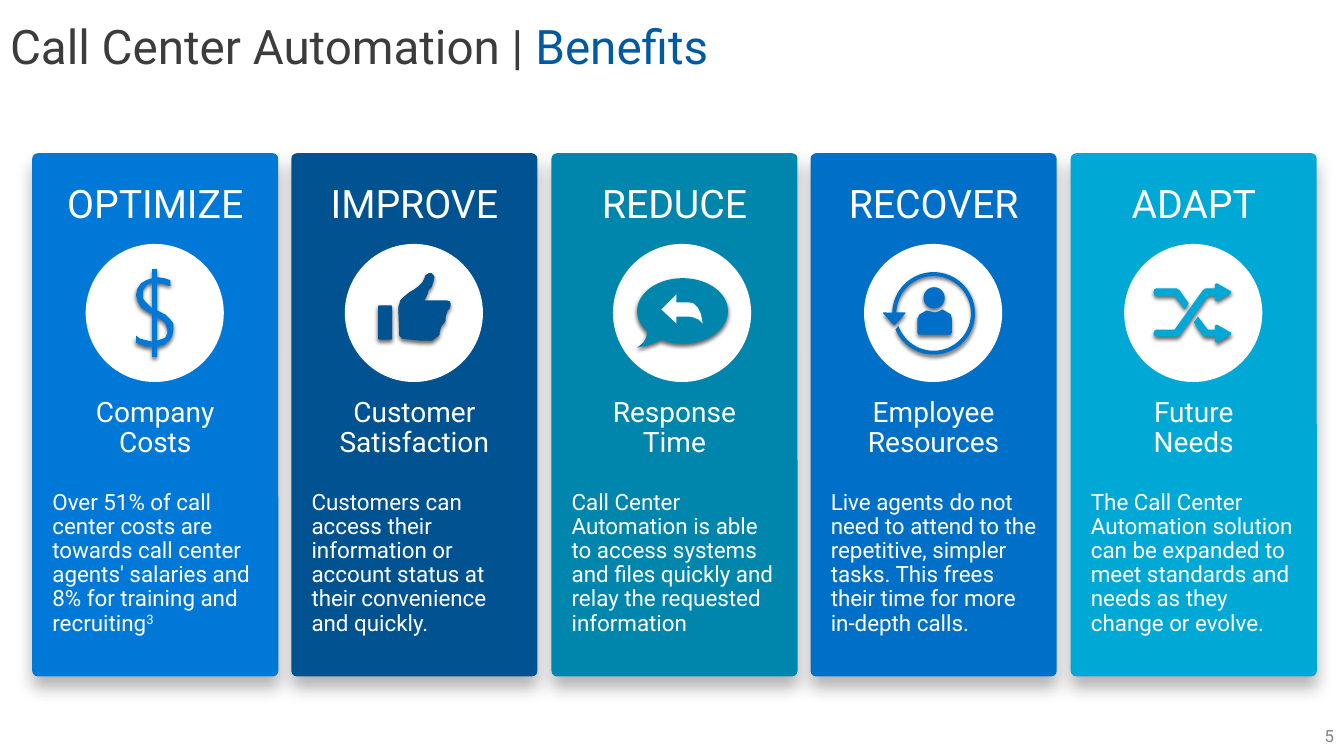
from dataclasses import dataclass
from math import cos, radians, sin

from lxml import etree
from pptx import Presentation
from pptx.dml.color import RGBColor
from pptx.enum.shapes import MSO_SHAPE
from pptx.enum.text import MSO_ANCHOR, MSO_AUTO_SIZE, PP_ALIGN
from pptx.oxml.ns import qn
from pptx.util import Pt

LEFT, CENTER, RIGHT = PP_ALIGN.LEFT, PP_ALIGN.CENTER, PP_ALIGN.RIGHT
TOP, MIDDLE = MSO_ANCHOR.TOP, MSO_ANCHOR.MIDDLE
FIXED, GROW = MSO_AUTO_SIZE.NONE, MSO_AUTO_SIZE.SHAPE_TO_FIT_TEXT
ROUNDED, ELLIPSE = MSO_SHAPE.ROUNDED_RECTANGLE, MSO_SHAPE.OVAL

EMU_PER_PX = 9144
SLIDE_WIDTH, SLIDE_HEIGHT = 1333, 750
CARD_LEFT, CARD_TOP, CARD_WIDTH, CARD_HEIGHT = 32, 152, 244, 519
TWO_CARD_STEPS = 515
CIRCLE_TOP, CIRCLE_SIZE = 242, 137
FONT, WHITE = "Roboto", "FFFFFF"

Points = list[tuple[float, float]]


@dataclass(frozen=True)
class Shadow:
    opacity: int
    blur: int
    distance: int


@dataclass(frozen=True)
class Outline:
    contours: tuple[Points, ...]
    cutout: bool = False


@dataclass(frozen=True)
class Card:
    color: str
    heading: str
    topic: str
    body: str
    icon: tuple[Outline, ...]
    footnote: str = ""
    topic_inset: int = 20
    circle_offset: int = 53


def px(value: float) -> int:
    return round(value * EMU_PER_PX)


def rgb(color: str) -> RGBColor:
    return RGBColor.from_string(color)


def arc(x: float, y: float, radius_x: float, radius_y: float, start: int, end: int) -> Points:
    step = 4 if end > start else -4
    angles = [radians(angle) for angle in [*range(start, end, step), end]]
    return [(x + radius_x * cos(angle), y + radius_y * sin(angle)) for angle in angles]


CARD_SHADOW, ICON_SHADOW = Shadow(30, 12, 8), Shadow(60, 3, 2)

DOLLAR = Outline((
    [(156, 354), (151, 354), (151, 344), (145, 344), (135, 340), (135, 333), (139, 336), (143, 337),
     (147, 338), (151, 339), (151, 312), (146, 309), (140, 305), (137, 300), (135, 293), (136, 287),
     (140, 281), (145, 278), (151, 276), (151, 267), (156, 267), (156, 275), (163, 276), (169, 278),
     (169, 284), (163, 282), (156, 281), (156, 308), (164, 312), (169, 317), (172, 321), (172, 327),
     (171, 333), (168, 338), (163, 342), (156, 344)],
    [(151, 281), (147, 282), (144, 285), (142, 288), (142, 292), (142, 296), (144, 299), (147, 302),
     (151, 306)],
    [(156, 338), (164, 335), (166, 331), (166, 327), (165, 324), (164, 321), (161, 318), (156, 315)],
))
THUMB = Outline((
    [(395, 305), (396, 302), (397, 298), (401, 294), (406, 290), (411, 287), (415, 284), (419, 280),
     (421, 276), (422, 273), (424, 272), (425, 271), (428, 271), (430, 273), (431, 275), (430, 279),
     (429, 282), (428, 285), (425, 288), (424, 292), (423, 294), (421, 298), (443, 298), (446, 299),
     (447, 301), (447, 303), (446, 306), (444, 308), (443, 311), (442, 314), (442, 318), (441, 320),
     (438, 323), (437, 326), (436, 330), (436, 332), (434, 334), (431, 336), (429, 338), (425, 338),
     (417, 338), (408, 337), (399, 336), (397, 334), (396, 333)],
))
CUFF = Outline(([(376, 337), (375, 336), (375, 304), (376, 303), (388, 303), (389, 304), (389, 336),
                 (388, 337)],))
BUBBLE = Outline((arc(677, 308.5, 45, 32.5, 141, 478)
                  + [(650, 340), (641, 343), (632, 345), (638, 340), (641, 335)],))
REPLY = Outline(([(683, 300), (671, 300), (671, 292), (656, 307), (671, 321), (671, 314), (684, 314),
                  (688, 315), (693, 317), (697, 321), (695, 311), (692, 305), (688, 301)],), cutout=True)
CYCLE = Outline(([(876, 311), (886, 322), (888, 322), (898, 311), (898, 310), (889, 310)]
                 + arc(926, 311, 37, 37, 180, 521) + [(890, 325), (888, 327)]
                 + arc(926, 311, 41, 41, 517, 181) + [(876, 310)],))
PERSON = Outline((
    arc(926.5, 295.5, 10.5, 10.5, 0, 360),
    [(943, 312), (935, 307), (931, 309), (927, 310), (923, 309), (919, 308), (912, 312), (910, 316),
     (910, 330), (911, 332), (943, 332), (944, 330), (944, 316)],
))
SHUFFLE = Outline((
    [(1205, 298), (1205, 294), (1198, 294), (1170, 333), (1167, 334), (1148, 334), (1145, 333),
     (1144, 331), (1145, 328), (1147, 327), (1165, 327), (1193, 288), (1196, 286), (1205, 286),
     (1205, 282), (1207, 281), (1221, 289), (1221, 291), (1207, 299)],
    [(1147, 294), (1165, 294), (1175, 307), (1179, 301), (1170, 288), (1167, 286), (1147, 286),
     (1145, 287), (1144, 290), (1145, 293)],
    [(1205, 327), (1198, 327), (1188, 314), (1184, 320), (1193, 333), (1196, 334), (1205, 334),
     (1205, 339), (1207, 340), (1221, 332), (1221, 330), (1207, 322), (1205, 323)],
))

CARDS = (
    Card("0078D7", "OPTIMIZE", "Company\nCosts",
         "Over 51% of call center costs are towards call center agents' salaries and 8% for training"
         " and recruiting", (DOLLAR,), footnote="3"),
    Card("005291", "IMPROVE", "Customer Satisfaction",
         "Customers can access their information or account status at their convenience and quickly.",
         (THUMB, CUFF), topic_inset=10),
    Card("0086AD", "REDUCE", "Response\nTime",
         "Call Center Automation is able to access systems and files quickly and relay the requested"
         " information", (BUBBLE, REPLY), circle_offset=61),
    Card("006FC8", "RECOVER", "Employee Resources",
         "Live agents do not need to attend to the repetitive, simpler tasks. This frees their time for"
         " more in-depth calls.", (CYCLE, PERSON), topic_inset=10),
    Card("00A8D6", "ADAPT", "Future\nNeeds",
         "The Call Center Automation solution can be expanded to meet standards and needs as they"
         " change or evolve.", (SHUFFLE,)),
)


def write(frame, text: str, *, size: int, color: str = WHITE, align=LEFT, spacing: float = 0.9,
          after: int = 6, superscript: bool = False) -> None:
    paragraph = frame.paragraphs[0]
    paragraph.alignment, paragraph.line_spacing = align, spacing
    paragraph.space_before, paragraph.space_after = Pt(0), Pt(after)
    for number, line in enumerate(text.split("\n")):
        if number:
            paragraph.add_line_break()
        run = paragraph.add_run()
        run.text = line
        run.font.name, run.font.size = FONT, Pt(size)
        run.font.color.rgb = rgb(color)
        if superscript:
            run.font._element.set("baseline", "30000")


def set_frame(frame, inset_x: int, inset_y: int, anchor, auto_size) -> None:
    frame.word_wrap, frame.auto_size, frame.vertical_anchor = True, auto_size, anchor
    frame.margin_left = frame.margin_right = px(inset_x)
    frame.margin_top = frame.margin_bottom = px(inset_y)


def add_text_box(shapes, left: int, top: int, width: int, height: int, *, inset_x: int = 20,
                 inset_y: int = 16, anchor=TOP, auto_size=GROW):
    frame = shapes.add_textbox(px(left), px(top), px(width), px(height)).text_frame
    set_frame(frame, inset_x, inset_y, anchor, auto_size)
    return frame


def paint(shape, color: str, shadow: Shadow | None = None) -> None:
    shape.fill.solid()
    shape.fill.fore_color.rgb = rgb(color)
    shape.line.fill.background()
    shape.shadow.inherit = False
    if shadow:
        effects = shape._element.spPr.find(qn("a:effectLst"))
        outer = etree.SubElement(effects, qn("a:outerShdw"), blurRad=str(Pt(shadow.blur)),
                                 dist=str(Pt(shadow.distance)), dir="5400000", algn="t",
                                 rotWithShape="0")
        black = etree.SubElement(outer, qn("a:srgbClr"), val="000000")
        etree.SubElement(black, qn("a:alpha"), val=str(shadow.opacity * 1000))


def add_outline(shapes, outline: Outline, color: str) -> None:
    contours = [[(px(x), px(y)) for x, y in contour] for contour in outline.contours]
    builder = shapes.build_freeform(*contours[0][0], scale=1.0)
    for number, contour in enumerate(contours):
        if number:
            builder.move_to(*contour[0])
        builder.add_line_segments(contour[1:], close=True)
    shape = builder.convert_to_shape()
    paint(shape, WHITE if outline.cutout else color, None if outline.cutout else ICON_SHADOW)


def add_card(slide, card: Card, left: int) -> None:
    shapes = slide.shapes.add_group_shape().shapes
    panel = shapes.add_shape(ROUNDED, px(left), px(CARD_TOP), px(CARD_WIDTH), px(CARD_HEIGHT))
    panel.adjustments[0] = 0.022
    paint(panel, card.color, CARD_SHADOW)
    write(add_text_box(shapes, left, 167, CARD_WIDTH, 75), card.heading, size=28, align=CENTER)
    topic = add_text_box(shapes, left, 379, CARD_WIDTH, 93, inset_x=card.topic_inset)
    write(topic, card.topic, size=20, align=CENTER)
    body = add_text_box(shapes, left, 471, CARD_WIDTH, 178)
    write(body, card.body, size=16)
    if card.footnote:
        write(body, card.footnote, size=16, superscript=True)
    circle = shapes.add_shape(ELLIPSE, px(left + card.circle_offset), px(CIRCLE_TOP),
                              px(CIRCLE_SIZE), px(CIRCLE_SIZE))
    paint(circle, WHITE)
    for outline in card.icon:
        add_outline(shapes, outline, card.color)


def main() -> None:
    presentation = Presentation()
    presentation.slide_width, presentation.slide_height = px(SLIDE_WIDTH), px(SLIDE_HEIGHT)
    slide = presentation.slides.add_slide(presentation.slide_layouts[5])
    title = slide.shapes.title
    title.left, title.top, title.width, title.height = px(0), px(0), px(SLIDE_WIDTH), px(97)
    set_frame(title.text_frame, 10, 5, MIDDLE, FIXED)
    write(title.text_frame, "Call Center Automation | ", size=34, color="3C3C3C", after=0)
    write(title.text_frame, "Benefits", size=34, color="005AA1", after=0)
    page = add_text_box(slide.shapes, 1033, 710, 300, 40, inset_x=10, inset_y=5, anchor=MIDDLE,
                        auto_size=FIXED)
    write(page, "5", size=12, color="808080", align=RIGHT, spacing=1.0, after=0)
    for index, card in reversed(list(enumerate(CARDS))):
        add_card(slide, card, CARD_LEFT + index * TWO_CARD_STEPS // 2)
    presentation.save("out.pptx")


if __name__ == "__main__":
    main()
